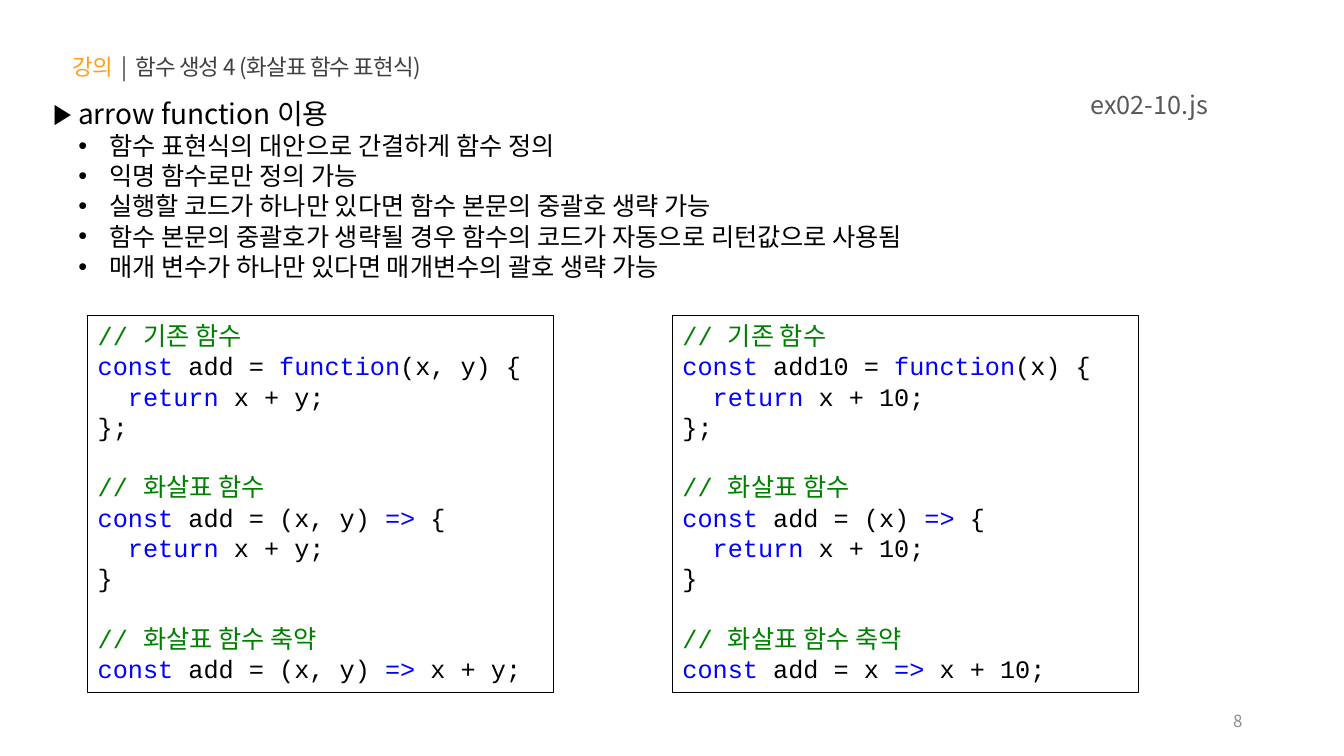
from lxml.etree import SubElement
from pptx import Presentation
from pptx.dml.color import RGBColor
from pptx.enum.shapes import MSO_SHAPE
from pptx.enum.text import MSO_ANCHOR, PP_ALIGN
from pptx.oxml.ns import qn
from pptx.util import Inches, Pt

SANS, MONO = "Noto Sans CJK KR", "Courier New"
BLACK, BLUE, GREEN = "000000", "0000FF", "008000"
LINE_RATIO = 1.2

TITLE = [("강의  ", "FF9E1B"), ("|  함수 생성 4 (화살표 함수 표현식)", "404040")]
FILE_NAME = "ex02-10.js"
PAGE_NUMBER = "8"
HEADING = " arrow function 이용"
POINTS = [
    " 함수 표현식의 대안으로 간결하게 함수 정의",
    " 익명 함수로만 정의 가능",
    " 실행할 코드가 하나만 있다면 함수 본문의 중괄호 생략 가능",
    " 함수 본문의 중괄호가 생략될 경우 함수의 코드가 자동으로 리턴값으로 사용됨",
    " 매개 변수가 하나만 있다면 매개변수의 괄호 생략 가능",
]
LISTINGS = [
    [
        ("// 기존 함수", ["`const` add = `function`(x, y) {", "  `return` x + y;", "};"]),
        ("// 화살표 함수", ["`const` add = (x, y) `=>` {", "  `return` x + y;", "}"]),
        ("// 화살표 함수 축약", ["`const` add = (x, y) `=>` x + y;"]),
    ],
    [
        ("// 기존 함수", ["`const` add10 = `function`(x) {", "  `return` x + 10;", "};"]),
        ("// 화살표 함수", ["`const` add = (x) `=>` {", "  `return` x + 10;", "}"]),
        ("// 화살표 함수 축약", ["`const` add = x `=>` x + 10;"]),
    ],
]
LISTING_LEFT, LISTING_STEP = 0.87, 5.8


def color(value):
    return RGBColor.from_string(value)


def add_box(page, left, top, width, height):
    box = page.shapes.add_textbox(Inches(left), Inches(top), Inches(width), Inches(height))
    box.text_frame.word_wrap = True
    return box


def add_para(box, spans, size, font=SANS, align=PP_ALIGN.LEFT, spacing=None):
    frame = box.text_frame
    para = frame.paragraphs[0]
    if para.runs:
        para = frame.add_paragraph()
    para.alignment = align
    para.line_spacing = Pt(size * LINE_RATIO)
    for text, shade in spans:
        span = para.add_run()
        span.text = text
        span.font.size = Pt(size)
        span.font.name = font
        span.font.color.rgb = color(shade)
        properties = span.font._element
        SubElement(properties, qn("a:ea")).set("typeface", SANS)
        if spacing is not None:
            properties.set("spc", str(round(spacing * 100)))
    return para


def add_bullet(para, symbol, margin, indent):
    properties = para._p.get_or_add_pPr()
    properties.set("marL", str(Inches(margin)))
    properties.set("indent", str(Inches(indent)))
    SubElement(properties, qn("a:buFont")).set("typeface", "Arial")
    SubElement(properties, qn("a:buChar")).set("char", symbol)


def add_listing(page, left, sections):
    box = page.shapes.add_shape(
        MSO_SHAPE.RECTANGLE, Inches(left), Inches(3.13), Inches(4.62), Inches(3.74)
    )
    box.shadow.inherit = False
    box.fill.background()
    box.line.color.rgb = color(BLACK)
    box.line.width = Pt(0.75)
    box.text_frame.word_wrap = True
    box.text_frame.vertical_anchor = MSO_ANCHOR.TOP
    for number, (comment, lines) in enumerate(sections):
        para = add_para(box, [(comment, GREEN)], 18, MONO)
        if number:
            para.space_before = Pt(18 * LINE_RATIO)
        for line in lines:
            parts = enumerate(line.split("`"))
            spans = [(text, BLUE if index % 2 else BLACK) for index, text in parts if text]
            add_para(box, spans, 18, MONO)


def main():
    deck = Presentation()
    deck.slide_width, deck.slide_height = Inches(13.33), Inches(7.5)
    page = deck.slides.add_slide(deck.slide_layouts[6])

    add_para(add_box(page, 0.62, 0.48, 5.15, 0.37), TITLE, 16, spacing=-0.6)

    number_box = add_box(page, 9.42, 6.95, 3, 0.4)
    number_box.text_frame.vertical_anchor = MSO_ANCHOR.MIDDLE
    add_para(number_box, [(PAGE_NUMBER, "8C8C8C")], 12, align=PP_ALIGN.RIGHT)

    points_box = add_box(page, 0.43, 0.91, 9.14, 1.95)
    add_bullet(add_para(points_box, [(HEADING, BLACK)], 20), "▶", 0, 0)
    for point in POINTS:
        para = add_para(points_box, [(point, BLACK)], 18)
        para.level = 1
        add_bullet(para, "•", 0.5, -0.25)

    file_box = add_box(page, 8.08, 0.84, 4, 0.4)
    add_para(file_box, [(FILE_NAME, "595959")], 18, align=PP_ALIGN.RIGHT)

    for column, sections in enumerate(LISTINGS):
        add_listing(page, LISTING_LEFT + column * LISTING_STEP, sections)

    deck.save("out.pptx")


if __name__ == "__main__":
    main()
